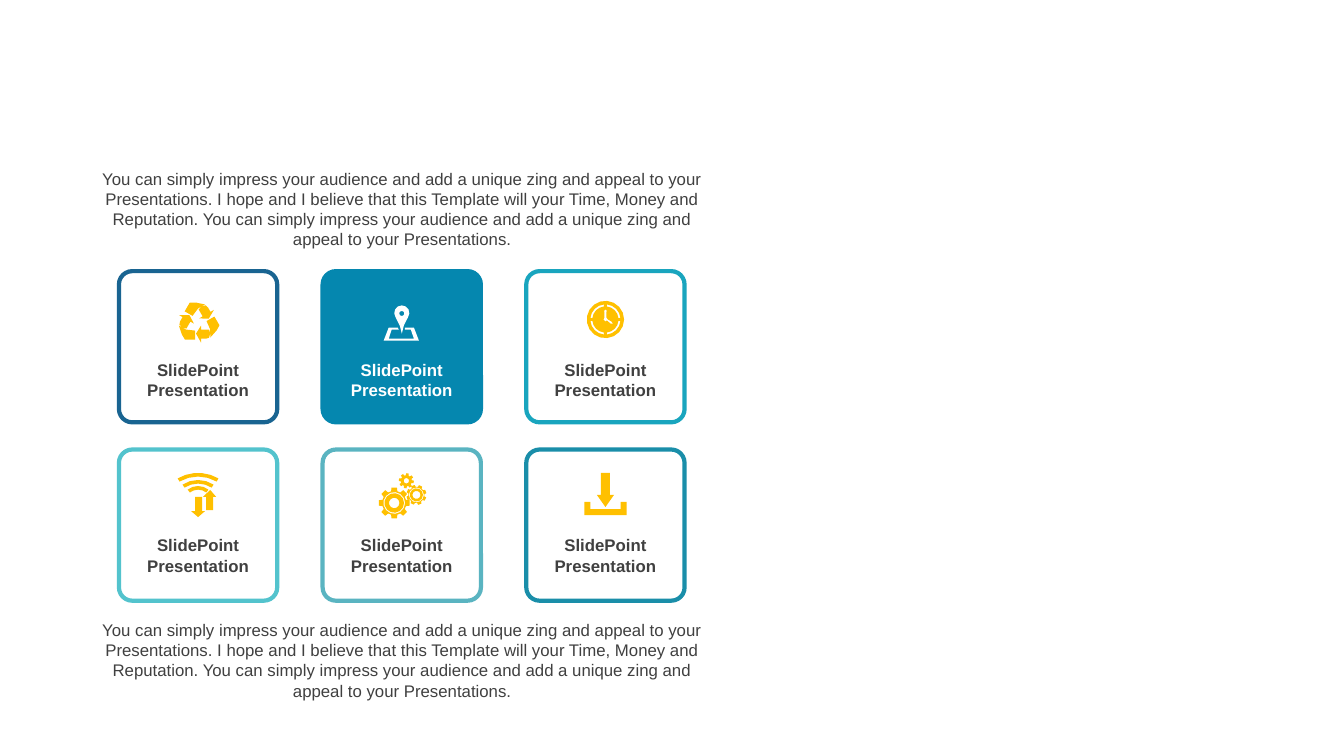
from dataclasses import dataclass
from math import cos, radians, sin
from typing import Callable

from pptx import Presentation
from pptx.dml.color import RGBColor
from pptx.enum.shapes import MSO_SHAPE
from pptx.enum.text import MSO_AUTO_SIZE, PP_ALIGN
from pptx.shapes.shapetree import SlideShapes
from pptx.util import Inches, Pt

Point = tuple[float, float]
Contour = list[Point]


@dataclass(frozen=True)
class Theme:
    font: str = "Arial"
    text_size: int = 12
    border: int = 3
    text: str = "404040"
    accent: str = "FFC000"
    light: str = "FFFFFF"


@dataclass(frozen=True)
class Grid:
    """Two rows of three cards, in inches."""
    left: float = 1.18
    top: float = 2.69
    column: float = 2.02
    row: float = 1.77
    card_width: float = 1.57
    card_height: float = 1.5
    label_inset: float = 0.15
    label_drops: tuple[float, float] = (0.83, 0.8)
    icon_drops: tuple[float, float] = (0.5, 0.45)

    def corner(self, column: int, row: int) -> Point:
        return self.left + column * self.column, self.top + row * self.row


@dataclass(frozen=True)
class Card:
    column: int
    row: int
    color: str
    icon: Callable[[], list[Contour]]
    filled: bool = False


THEME = Theme()
GRID = Grid()
ICON_UNIT = 0.01  # inches
LABEL = "SlidePoint Presentation"
IMPRESS = "You can simply impress your audience and add a unique zing and appeal to your Presentations."
MESSAGE = (f"{IMPRESS} I hope and I believe that this Template will your Time, "
           f"Money and Reputation. {IMPRESS}")
MESSAGE_TOPS = (1.62, 6.1)


# Outlines, in icon units around the icon's centre
def arc(x: float, y: float, radius: float, start: float = 0, end: float = 360) -> Contour:
    steps = max(4, round(abs(end - start) / 360 * (8 + radius / 2)))
    angles = [radians(start + (end - start) * i / steps) for i in range(steps + 1)]
    return [(x + radius * cos(a), y + radius * sin(a)) for a in angles]


def band(x: float, y: float, inner: float, outer: float, start: float, end: float) -> Contour:
    return arc(x, y, outer, start, end) + arc(x, y, inner, end, start)


def gear(x: float, y: float, root: float, tip: float, phase: float) -> Contour:
    profile = ((-15, root), (-10, tip), (10, tip), (15, root))
    return [(x + r * cos(radians(phase + tooth * 45 + turn)),
             y + r * sin(radians(phase + tooth * 45 + turn)))
            for tooth in range(8) for turn, r in profile]


def turned(points: Contour, center_y: float, angle: float) -> Contour:
    c, s = cos(radians(angle)), sin(radians(angle))
    return [(x * c - (y - center_y) * s, center_y + x * s + (y - center_y) * c)
            for x, y in points]


# Icons
def recycling() -> list[Contour]:
    arrow = [(3, 4), (3, 8), (11, 8), (12, 12), (11, 16), (8, 17), (3, 17), (3, 21), (-2, 12)]
    tail = [(-3, 9), (-3, 18), (-13, 18), (-16, 13), (-19, 4), (-12, 8)]
    return [turned(part, 1, angle) for angle in (0, 120, 240) for part in (arrow, tail)]


def map_pin() -> list[Contour]:
    sheet = [(-13, 6), (-4, 6), (-3, 8), (-10, 8), (-13, 17), (12, 17), (9, 8),
             (3, 8), (3, 6), (12, 6), (17, 19), (-18, 19)]
    pin = arc(0, -8.5, 7.5, 145, 395) + [(2, 4), (0, 12), (-2, 4)]
    return [sheet, pin, arc(0, -8, 2.5)]


def clock() -> list[Contour]:
    hands = [(0, -12), (-2, -10), (-1, -10), (-1, -4), (-2, -2), (0, 0), (1.5, -1), (5, 2),
             (7.5, 2), (6, 0), (2.5, -2), (1, -4), (1, -10), (2, -10)]
    dial = [band(0, -2, 13, 15, quarter + 6, quarter + 84) for quarter in range(0, 360, 90)]
    return [arc(0, -2, 18.5), *dial, hands]


def wireless() -> list[Contour]:
    down = [(-3, 2), (4, 2), (4, 16), (7, 16), (0, 22), (-7, 16), (-3, 16)]
    up = [(12, -5), (18, 2), (15, 2), (15, 15), (8, 15), (8, 2), (5, 2)]
    waves = [band(0, y, radius - 1.8, radius + 1.8, 270 - spread, 270 + spread)
             for y, radius, spread in ((18.6, 38.6, 30), (13.5, 26.5, 33), (8, 15, 38))]
    return [down, up, *waves]


def gears() -> list[Contour]:
    large, medium, small = (-7.5, 8), (14.5, 0), (4.5, -14)
    return [gear(*large, 12, 15.5, 0), *[arc(*large, r) for r in (10.8, 9.7, 5.2)],
            gear(*medium, 8, 10, 25), *[arc(*medium, r) for r in (7.4, 6.5, 4)],
            gear(*small, 5.5, 7.5, 9), arc(*small, 2.7)]


def download() -> list[Contour]:
    tray = [(-21, 7), (-15, 7), (-15, 14), (15, 14), (15, 7), (21, 7), (21, 20), (-21, 20)]
    arrow = [(-4.5, -22), (4.5, -22), (4.5, 0), (8.5, 0), (0, 12), (-8.5, 0), (-4.5, 0)]
    return [tray, arrow]


CARDS = (
    Card(0, 0, "196491", recycling),
    Card(1, 0, "0587AF", map_pin, filled=True),
    Card(2, 0, "19A5BE", clock),
    Card(0, 1, "53C3CD", wireless),
    Card(1, 1, "5AB4C1", gears),
    Card(2, 1, "1A8EA9", download),
)


# Drawing
def add_text(shapes: SlideShapes, text: str, left: float, top: float, width: float,
             height: float, color: str, bold: bool = False) -> None:
    frame = shapes.add_textbox(*map(Inches, (left, top, width, height))).text_frame
    frame.word_wrap = True
    frame.auto_size = MSO_AUTO_SIZE.SHAPE_TO_FIT_TEXT
    paragraph = frame.paragraphs[0]
    paragraph.alignment = PP_ALIGN.CENTER
    run = paragraph.add_run()
    run.text = text
    run.font.name = THEME.font
    run.font.size = Pt(THEME.text_size)
    run.font.bold = bold
    run.font.color.rgb = RGBColor.from_string(color)


def add_icon(shapes: SlideShapes, contours: list[Contour], x: float, y: float, color: str) -> None:
    outlines = [[(Inches(px * ICON_UNIT), Inches(py * ICON_UNIT)) for px, py in contour]
                for contour in contours]
    builder = shapes.build_freeform(*outlines[0][0])
    for index, outline in enumerate(outlines):
        if index:
            builder.move_to(*outline[0])
        builder.add_line_segments(outline[1:], close=True)
    icon = builder.convert_to_shape(Inches(x), Inches(y))
    icon.shadow.inherit = False
    icon.fill.solid()
    icon.fill.fore_color.rgb = RGBColor.from_string(color)
    icon.line.fill.background()


def add_card(shapes: SlideShapes, card: Card) -> None:
    left, top = GRID.corner(card.column, card.row)
    frame = shapes.add_shape(MSO_SHAPE.ROUNDED_RECTANGLE, *map(
        Inches, (left, top, GRID.card_width, GRID.card_height)))
    frame.adjustments[0] = 0.088
    frame.shadow.inherit = False
    frame.line.color.rgb = RGBColor.from_string(card.color)
    frame.line.width = Pt(THEME.border)
    if card.filled:
        frame.fill.solid()
        frame.fill.fore_color.rgb = RGBColor.from_string(card.color)
    else:
        frame.fill.background()
    add_text(shapes, LABEL, left + GRID.label_inset, top + GRID.label_drops[card.row],
             GRID.card_width - 2 * GRID.label_inset, 0.5,
             THEME.light if card.filled else THEME.text, bold=True)
    add_icon(shapes, card.icon(), left + GRID.card_width / 2, top + GRID.icon_drops[card.row],
             THEME.light if card.filled else THEME.accent)


def main() -> None:
    deck = Presentation()
    deck.slide_width, deck.slide_height = Inches(13.33), Inches(7.5)
    shapes = deck.slides.add_slide(deck.slide_layouts[6]).shapes
    for card in CARDS:
        add_card(shapes, card)
    for top in MESSAGE_TOPS:
        add_text(shapes, MESSAGE, 0.76, top, 6.46, 0.91, THEME.text)
    deck.save("out.pptx")


if __name__ == "__main__":
    main()
